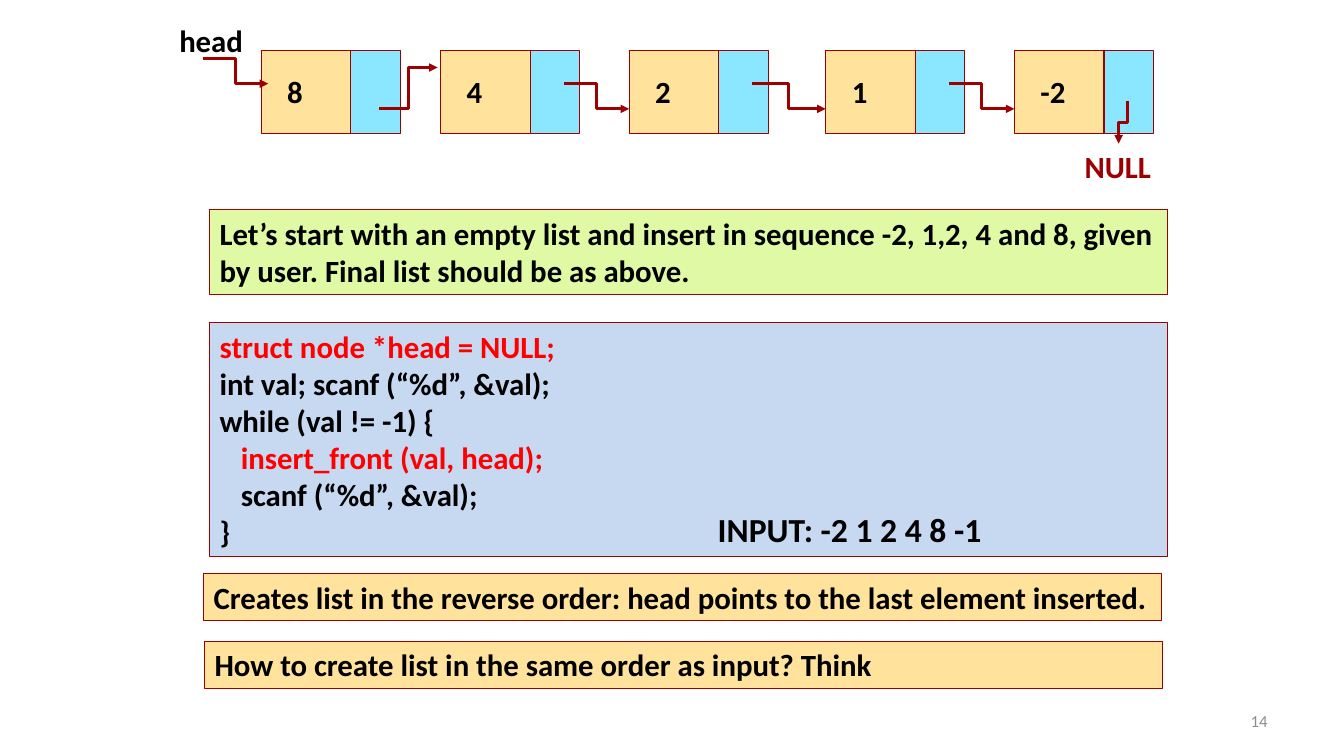
from pptx import Presentation
from pptx.dml.color import RGBColor
from pptx.enum import shapes, text
from pptx.oxml import ns, xmlchemy
from pptx.util import Inches, Pt

BLACK = RGBColor(0, 0, 0)
RED = RGBColor(0xFF, 0, 0)
MAROON = RGBColor(0x9D, 0, 0)
GRAY = RGBColor(0x8C, 0x8C, 0x8C)
GOLD = RGBColor(0xFF, 0xE3, 0x9D)
CYAN = RGBColor(0x8B, 0xE6, 0xFF)
LIME = RGBColor(0xDF, 0xF9, 0xA5)
BLUE = RGBColor(0xC6, 0xD9, 0xF1)

NODES = [("8", 2.59), ("4", 4.37), ("2", 6.24), ("1", 8.19), ("-2", 10.06)]
TOP, HIGH, DATA, NEXT = 0.5, 0.83, 0.89, 0.49
WIRES = [
    (2.01, 0.58, 2.66, 0.83),
    (3.76, 1.08, 4.34, 0.67),
]
CODE = [
    ("struct node *head = NULL;", RED, 0),
    ("int val; scanf (“%d”, &val);", BLACK, 0),
    ("while (val != -1) {", BLACK, 0),
    ("insert_front (val, head);", RED, 0.21),
    ("scanf (“%d”, &val);", BLACK, 0.21),
    ("}", BLACK, 0),
]
PANELS = [
    ("Let’s start with an empty list and insert in sequence -2, 1,2, 4 and 8, "
     "given by user. Final list should be as above.", (2.08, 2.08, 9.5, 0.84), LIME),
    (CODE, (2.08, 3.2, 9.5, 2.32), BLUE),
    ("Creates list in the reverse order: head points to the last element inserted.",
     (2.02, 5.69, 9.5, 0.47), GOLD),
    ("How to create list in the same order as input? Think",
     (2.03, 6.36, 9.5, 0.47), GOLD),
]

deck = Presentation()
deck.slide_width, deck.slide_height = Inches(13.33), Inches(7.5)
slide = deck.slides.add_slide(deck.slide_layouts[6])


def add_box(at, fill, edge=MAROON):
    box = slide.shapes.add_shape(shapes.MSO_SHAPE.RECTANGLE, *map(Inches, at))
    box.shadow.inherit = False
    box.fill.solid()
    box.fill.fore_color.rgb = fill
    if edge is None:
        box.line.fill.background()
    else:
        box.line.color.rgb = edge
        box.line.width = Pt(0.74)
    return box


def add_text(words, at=None, box=None, size=22, color=BLACK, bold=True, wrap=True,
             align=text.PP_ALIGN.LEFT, anchor=text.MSO_ANCHOR.TOP, grow=True):
    if box is None:
        box = slide.shapes.add_textbox(*map(Inches, at))
    frame = box.text_frame
    frame.word_wrap = wrap
    frame.vertical_anchor = anchor
    if grow:
        frame.auto_size = text.MSO_AUTO_SIZE.SHAPE_TO_FIT_TEXT
    lines = [(words, color, 0)] if isinstance(words, str) else words
    for i, (line, shade, indent) in enumerate(lines):
        para = frame.add_paragraph() if i else frame.paragraphs[0]
        para.alignment = align
        if indent:
            para._p.get_or_add_pPr().set("marL", str(Inches(indent)))
        run = para.add_run()
        run.text = line
        font = run.font
        font.name, font.size, font.bold = "Calibri", Pt(size), bold
        font.color.rgb = shade


def add_wire(x1, y1, x2, y2, turn=0):
    wire = slide.shapes.add_connector(
        shapes.MSO_CONNECTOR.ELBOW, *map(Inches, (x1, y1, x2, y2)))
    wire.line.color.rgb = MAROON
    wire.line.width = Pt(2)
    line = wire.line._get_or_add_ln()
    line.append(xmlchemy.OxmlElement("a:tailEnd"))
    line[-1].set("type", "triangle")
    props = wire._element.spPr
    props.append(xmlchemy.OxmlElement("a:effectLst"))
    if turn:
        props.find(ns.qn("a:xfrm")).set("rot", str(turn * 60000))


for value, left in NODES:
    add_box((left, TOP, DATA, HIGH), GOLD)
    add_box((left + DATA, TOP, NEXT, HIGH), CYAN)
    add_text(value, (left + 0.16, 0.67, 0.38 if len(value) == 1 else 0.71, 0.47))

for (_, left), (_, goal) in zip(NODES[1:], NODES[2:]):
    add_wire(left + 1.22, 0.83, goal, 1.08)
for ends in WIRES:
    add_wire(*ends)
add_wire(10.93, 1.17, 11.35, 1.26, turn=90)

add_text("head", (1.68, 0.17, 0.9, 0.47))
add_text("NULL", (10.66, 1.42, 0.86, 0.47), color=MAROON, wrap=False)

for words, at, fill in PANELS:
    add_text(words, box=add_box(at, fill))
add_text("INPUT: -2 1 2 4 8 -1", box=add_box((7.02, 5, 2.83, 0.5), BLUE, None),
         size=24, wrap=False)
add_text("14", (9.56, 6.95, 3.11, 0.4), size=12, color=GRAY, bold=False,
         align=text.PP_ALIGN.RIGHT, anchor=text.MSO_ANCHOR.MIDDLE, grow=False)

deck.save("out.pptx")
